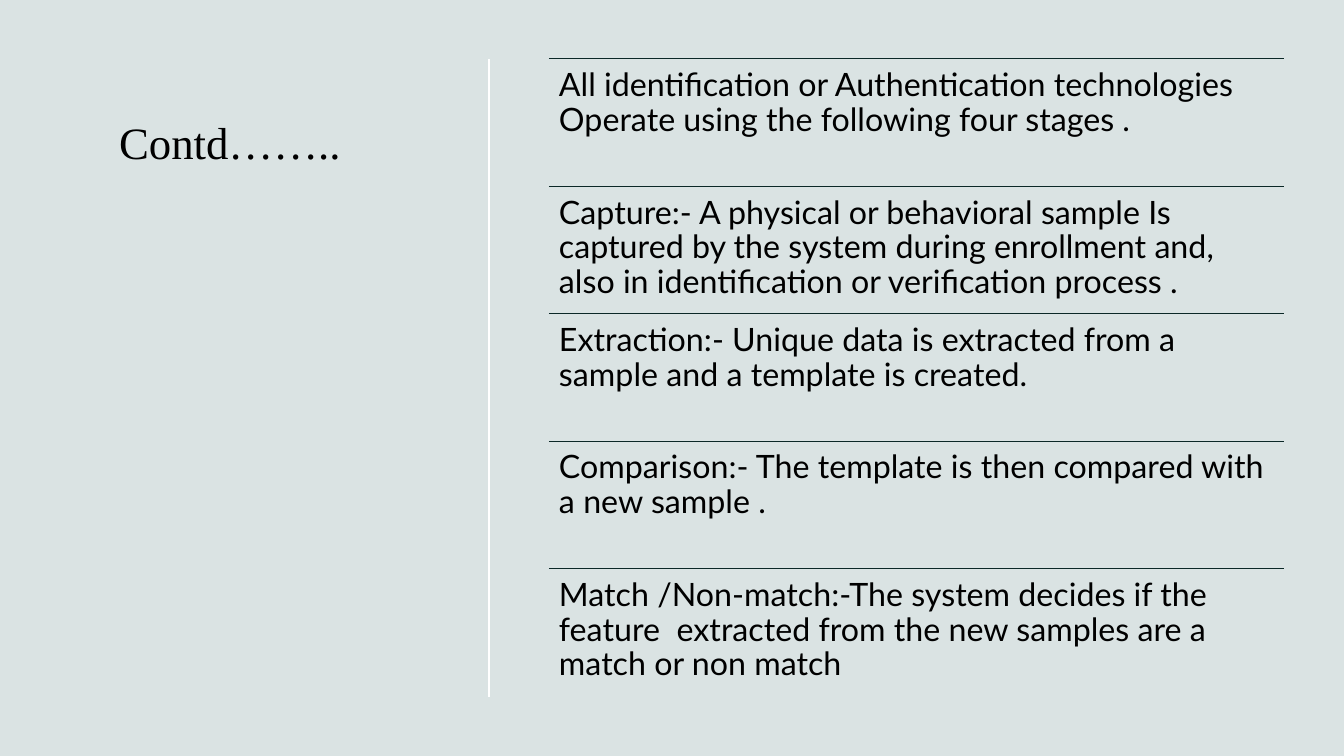
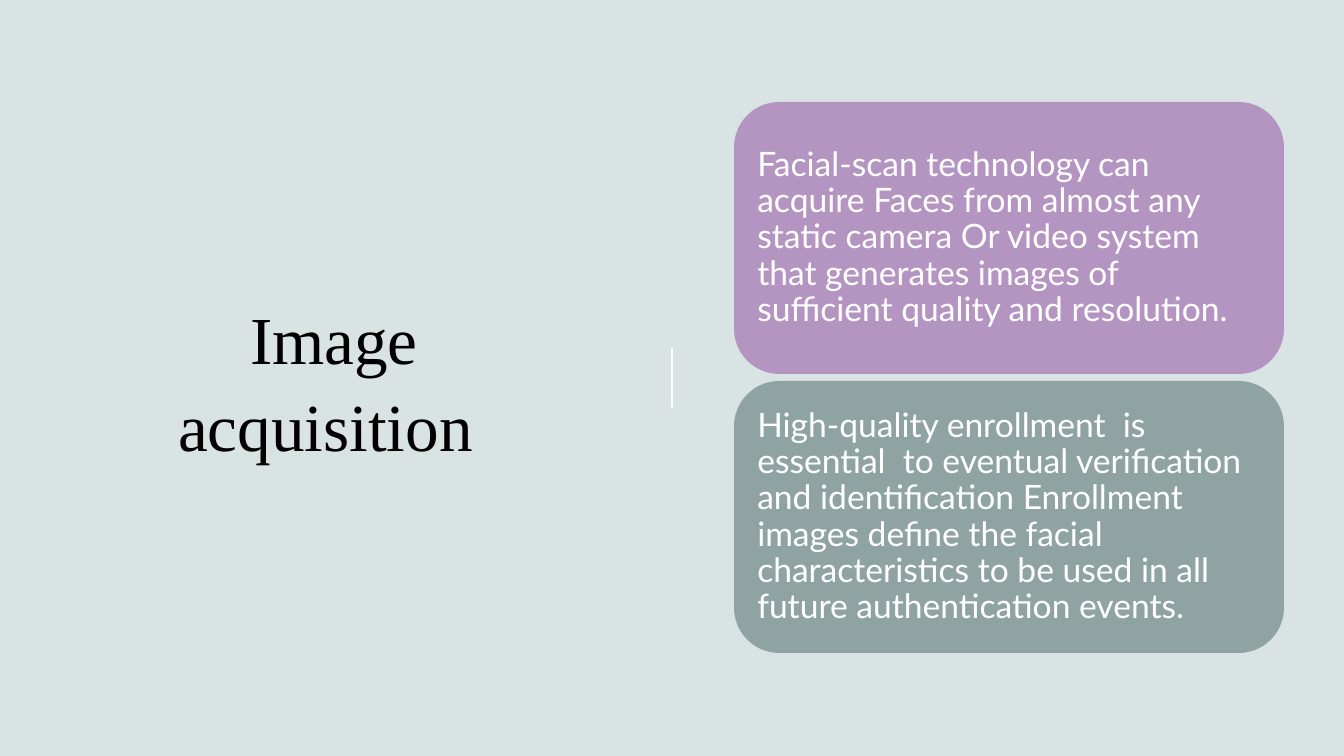
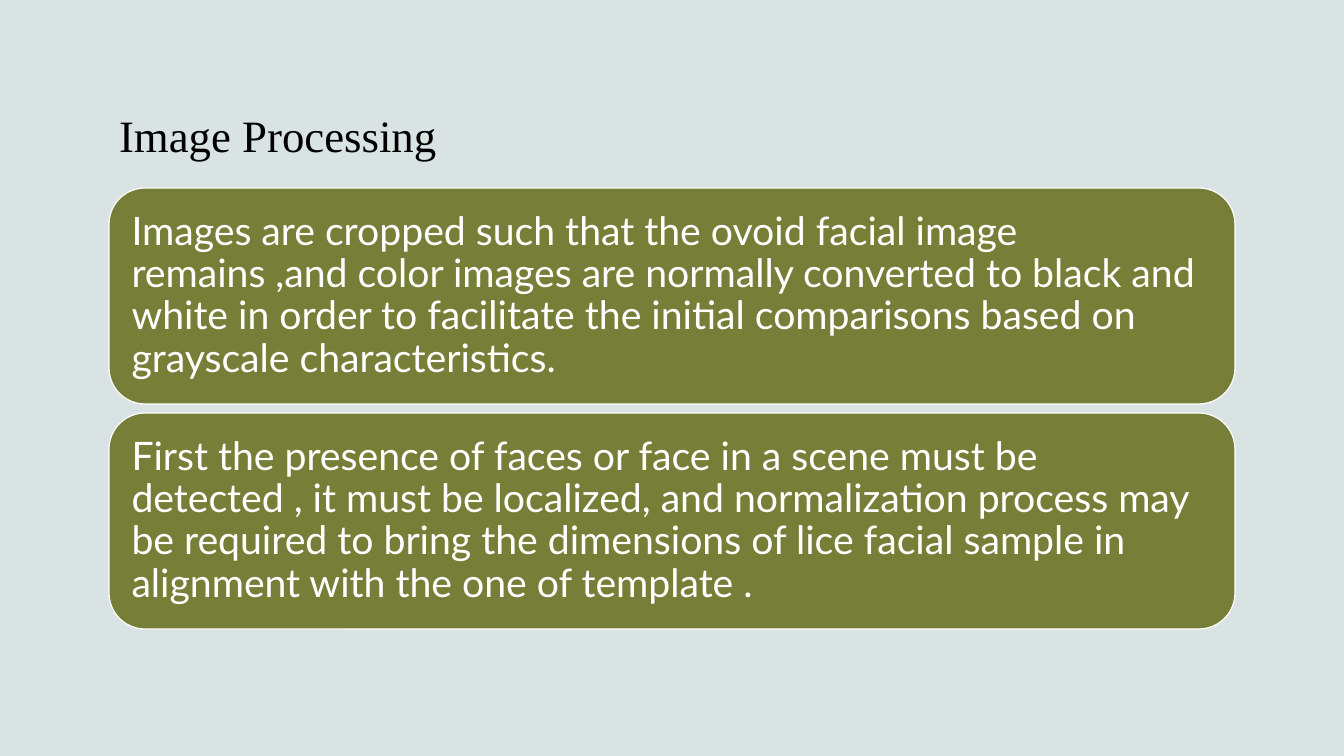
from lxml.etree import SubElement
from pptx import Presentation
from pptx.dml.color import RGBColor
from pptx.enum.shapes import MSO_CONNECTOR, MSO_SHAPE
from pptx.enum.text import MSO_ANCHOR, PP_ALIGN
from pptx.oxml.ns import qn
from pptx.util import Emu, Pt

SLIDE_WIDTH, SLIDE_HEIGHT = 1344, 756
EMU_PER_PX = 914400 / 100.8

BACKGROUND = "DAE3E3"
BLACK = "000000"
WHITE = "FFFFFF"
RULE = "0B2827"
PURPLE = "B495C2"
GRAY = "8FA3A3"
OLIVE = "767E37"

TITLE_FONT = "Times New Roman"
BODY_FONT = "Lato"

STAGES = [
    "All identification or Authentication technologies Operate using the following four stages .",
    "Capture:- A physical or behavioral sample Is captured by the system during enrollment and, "
    "also in identification or verification process .",
    "Extraction:- Unique data is extracted from a sample and a template is created.",
    "Comparison:- The template is then compared with a new sample .",
    "Match /Non-match:-The system decides if the feature  extracted from the new samples are a "
    "match or non match",
]
ACQUISITION_CARDS = [
    (PURPLE, "Facial-scan technology can acquire Faces from almost any static camera Or video "
             "system that generates images of sufficient quality and resolution."),
    (GRAY, "High-quality enrollment  is essential  to eventual verification and identification "
           "Enrollment images define the facial characteristics to be used in all future "
           "authentication events."),
]
PROCESSING_CARDS = [
    (OLIVE, "Images are cropped such that the ovoid facial image remains ,and color images are "
            "normally converted to black and white in order to facilitate the initial "
            "comparisons based on grayscale characteristics."),
    (OLIVE, "First the presence of faces or face in a scene must be detected , it must be "
            "localized, and normalization process may be required to bring the dimensions of "
            "lice facial sample in alignment with the one of template ."),
]


def px(length):
    return Emu(round(length * EMU_PER_PX))


def color(hex_string):
    return RGBColor.from_string(hex_string)


def write(shape, text, font, size, hex_string, inset, spacing,
          anchor=MSO_ANCHOR.TOP, alignment=PP_ALIGN.LEFT):
    frame = shape.text_frame
    frame.word_wrap = True
    frame.vertical_anchor = anchor
    frame.margin_left = frame.margin_right = px(inset[0])
    frame.margin_top = frame.margin_bottom = px(inset[1])
    paragraph = frame.paragraphs[0]
    paragraph.text = text
    paragraph.alignment = alignment
    paragraph.line_spacing = spacing
    paragraph.font.name = font
    paragraph.font.size = Pt(size)
    paragraph.font.color.rgb = color(hex_string)


def add_title(slide, text, box, size=32, **placement):
    shape = slide.shapes.add_textbox(*map(px, box))
    write(shape, text, TITLE_FONT, size, BLACK, (10, 5), 1.08, **placement)


def add_line(slide, start, end, hex_string, width):
    line = slide.shapes.add_connector(MSO_CONNECTOR.STRAIGHT, *map(px, start + end))
    line.line.color.rgb = color(hex_string)
    line.line.width = Pt(width)
    SubElement(line._element.spPr, qn("a:effectLst"))


def add_ruled_rows(slide, texts, box):
    """Share the box equally among the texts, with a rule above each."""
    left, top, width, height = box
    row_height = height / len(texts)
    for index, text in enumerate(texts):
        row_top = top + index * row_height
        add_line(slide, (left, row_top), (left + width, row_top), RULE, 0.75)
        row = slide.shapes.add_textbox(*map(px, (left, row_top, width, row_height)))
        write(row, text, BODY_FONT, 23, BLACK, (10, 10), 0.9)


def add_cards(slide, cards, box, gap, size, inset, outline=None):
    """Stack rounded cards of equal height inside the box."""
    left, top, width, height = box
    card_height = (height - gap * (len(cards) - 1)) / len(cards)
    for index, (fill, text) in enumerate(cards):
        card_top = top + index * (card_height + gap)
        card = slide.shapes.add_shape(
            MSO_SHAPE.ROUNDED_RECTANGLE, *map(px, (left, card_top, width, card_height)))
        card.shadow.inherit = False
        card.fill.solid()
        card.fill.fore_color.rgb = color(fill)
        if outline:
            card.line.color.rgb = color(outline)
            card.line.width = Pt(0.85)
        else:
            card.line.fill.background()
        write(card, text, BODY_FONT, size, WHITE, (inset, inset), 0.9, anchor=MSO_ANCHOR.MIDDLE)


def build_stages(slide):
    add_title(slide, "Contd……..", (109, 105, 308, 517))
    add_line(slide, (489, 59), (489, 697), WHITE, 1)
    add_ruled_rows(slide, STAGES, (549, 59, 735, 637))


def build_acquisition(slide):
    add_title(slide, "Image acquisition ", (119, 119, 430, 517), size=48,
              anchor=MSO_ANCHOR.MIDDLE, alignment=PP_ALIGN.CENTER)
    add_line(slide, (672, 348), (672, 408), WHITE, 1)
    add_cards(slide, ACQUISITION_CARDS, (734, 102, 550, 551), gap=7, size=24, inset=10)


def build_processing(slide):
    add_title(slide, "Image Processing", (109, 43, 1126, 123), anchor=MSO_ANCHOR.BOTTOM)
    add_cards(slide, PROCESSING_CARDS, (109, 188, 1126, 441), gap=9, size=28, inset=12,
              outline=WHITE)


def main():
    presentation = Presentation()
    presentation.slide_width = px(SLIDE_WIDTH)
    presentation.slide_height = px(SLIDE_HEIGHT)
    background = presentation.slide_master.background.fill
    background.solid()
    background.fore_color.rgb = color(BACKGROUND)
    blank_layout = presentation.slide_layouts[6]
    for build in (build_stages, build_acquisition, build_processing):
        build(presentation.slides.add_slide(blank_layout))
    presentation.save("out.pptx")


if __name__ == "__main__":
    main()
